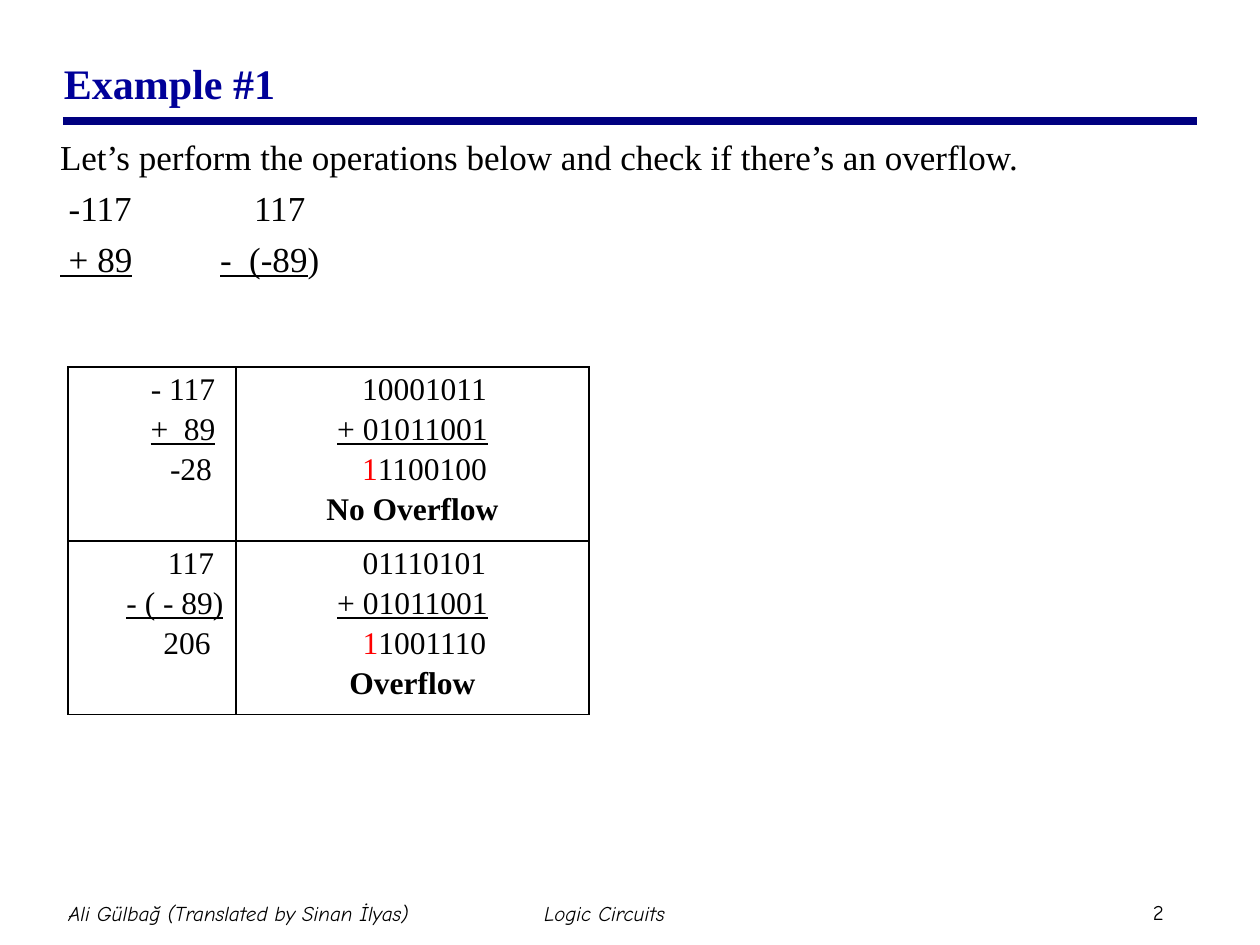
"""Build the overflow example slide for a logic circuits lecture."""
from lxml import etree
from pptx import Presentation
from pptx.dml.color import RGBColor
from pptx.enum.shapes import MSO_CONNECTOR
from pptx.enum.text import MSO_ANCHOR, PP_ALIGN
from pptx.oxml.ns import qn
from pptx.util import Pt

PX = 7257
LEFT, CENTER = PP_ALIGN.LEFT, PP_ALIGN.CENTER
TOP, MIDDLE = MSO_ANCHOR.TOP, MSO_ANCHOR.MIDDLE
STRAIGHT = MSO_CONNECTOR.STRAIGHT
THEME = {
    "rule": RGBColor(0x00, 0x00, 0x80),
    "black": RGBColor(0x00, 0x00, 0x00),
    "carry": RGBColor(0xFF, 0x00, 0x00),
    "title": {"name": "Times New Roman", "size": Pt(24), "bold": True},
    "title_color": RGBColor(0x00, 0x00, 0x99),
    "body": {"name": "Times New Roman", "size": Pt(20)},
    "table": {"name": "Times New Roman", "size": Pt(18)},
    "footer": {"name": "Comic Neue", "size": Pt(12), "italic": True},
    "number": {"name": "Comic Neue", "size": Pt(12)},
}
UNDERLINE = {"underline": True}
BOLD = {"bold": True}


def write_runs(paragraph, runs, base, color=THEME["black"]):
    for text, extra in runs:
        run = paragraph.add_run()
        run.text = text
        style = {**base, **extra}
        run.font.color.rgb = style.pop("color", color)
        for attribute, value in style.items():
            setattr(run.font, attribute, value)


def add_box(bounds, inset, anchor):
    frame = slide.shapes.add_textbox(*(v * PX for v in bounds)).text_frame
    settings = {"word_wrap": True, "vertical_anchor": anchor}
    for side in ("left", "right", "top", "bottom"):
        settings[f"margin_{side}"] = inset * PX
    for attribute, value in settings.items():
        setattr(frame, attribute, value)
    return frame


prs = Presentation()
prs.slide_width, prs.slide_height = 1260 * PX, 945 * PX
slide = prs.slides.add_slide(prs.slide_layouts[6])

rule = slide.shapes.add_connector(STRAIGHT, 63 * PX, 121 * PX, 1197 * PX, 121 * PX)
rule.line.color.rgb = THEME["rule"]
rule.line.width = Pt(4.5)
etree.SubElement(rule._element.spPr, qn("a:effectLst"))

labels = [
    ("2", (1147, 893, 59, 38), 6, LEFT, "number", THEME["black"]),
    ("Ali Gülbağ (Translated by Sinan İlyas)", (13, 882, 451, 63), 6, CENTER, "footer", THEME["black"]),
    ("Logic Circuits", (379, 882, 451, 63), 6, CENTER, "footer", THEME["black"]),
    ("Example #1", (52, 29, 1071, 108), 12, LEFT, "title", THEME["title_color"]),
]
for text, bounds, inset, alignment, style, color in labels:
    paragraph = add_box(bounds, inset, MIDDLE).paragraphs[0]
    paragraph.alignment = alignment
    write_runs(paragraph, [(text, {})], THEME[style], color)

question_lines = [
    (None, [("Let’s perform the operations below and check if there’s an overflow.", {})]),
    (194, [(" -117", {}), ("\t117", {})]),
    (160, [(" + 89", UNDERLINE), ("\t", {}), ("-  (-89", UNDERLINE), (")", {})]),
]
question = add_box((48, 124, 1154, 200), 12, TOP)
for index, (tab, runs) in enumerate(question_lines):
    paragraph = question.add_paragraph() if index else question.paragraphs[0]
    if index:
        paragraph.space_before = Pt(5)
    if tab:
        tabs = etree.SubElement(paragraph._p.get_or_add_pPr(), qn("a:tabLst"))
        etree.SubElement(tabs, qn("a:tab"), pos=str(tab * PX), algn="l")
    write_runs(paragraph, runs, THEME["body"])

solutions = [
    [
        [(62, [("- 117", {})]), (62, [("+  89", UNDERLINE)]), (78, [("-28", {})])],
        ("10001011", "1100100", "No Overflow"),
    ],
    [
        [(78, [("117", {})]), (46, [("- ( - 89)", UNDERLINE)]), (70, [("206", {})])],
        ("01110101", "1001110", "Overflow"),
    ],
]
table_shape = slide.shapes.add_table(2, 2, 68 * PX, 367 * PX, 521 * PX, 320 * PX)
table = table_shape.table
table.first_row = table.horz_banding = False
for column, width in zip(table.columns, (168, 353)):
    column.width = width * PX
for row, (decimal_lines, (first, remainder, verdict)) in zip(table.rows, solutions):
    row.height = 160 * PX
    binary_lines = [
        (24, [(first, {})]),
        (0, [("+ 01011001", UNDERLINE)]),
        (24, [("1", {"color": THEME["carry"]}), (remainder, {})]),
        (0, [(verdict, BOLD)]),
    ]
    for cell, lines in zip(row.cells, (decimal_lines, binary_lines)):
        cell.margin_left = cell.margin_right = 9 * PX
        cell.margin_top = cell.margin_bottom = 0
        properties = cell._tc.get_or_add_tcPr()
        for edge in ("lnL", "lnR", "lnT", "lnB"):
            border = etree.SubElement(properties, qn(f"a:{edge}"), w=str(Pt(1)))
            fill = etree.SubElement(border, qn("a:solidFill"))
            etree.SubElement(fill, qn("a:srgbClr"), val=str(THEME["black"]))
        cell.fill.background()
        for index, (indent, runs) in enumerate(lines):
            frame = cell.text_frame
            paragraph = frame.add_paragraph() if index else frame.paragraphs[0]
            paragraph.alignment = CENTER
            paragraph.line_spacing = 1.15
            paragraph._p.get_or_add_pPr().set("marL", str(indent * PX))
            write_runs(paragraph, runs, THEME["table"])

prs.save("out.pptx")
